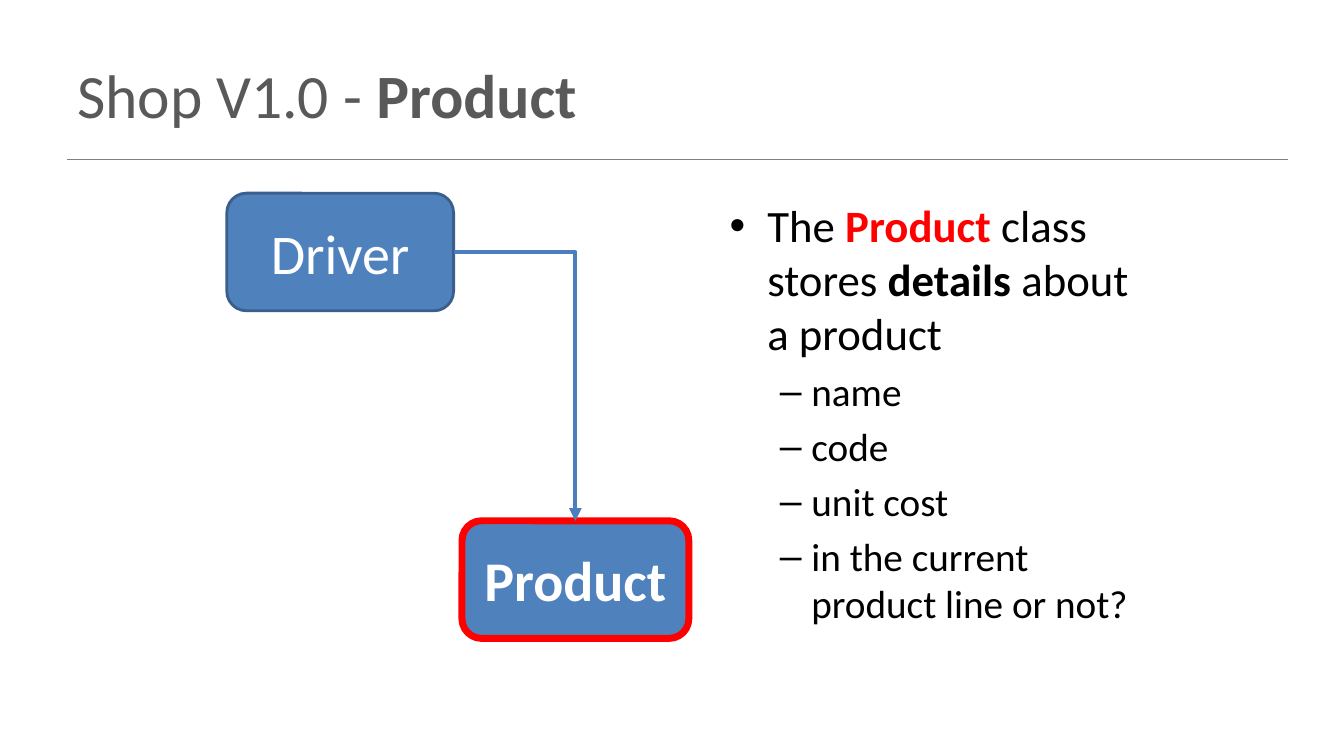
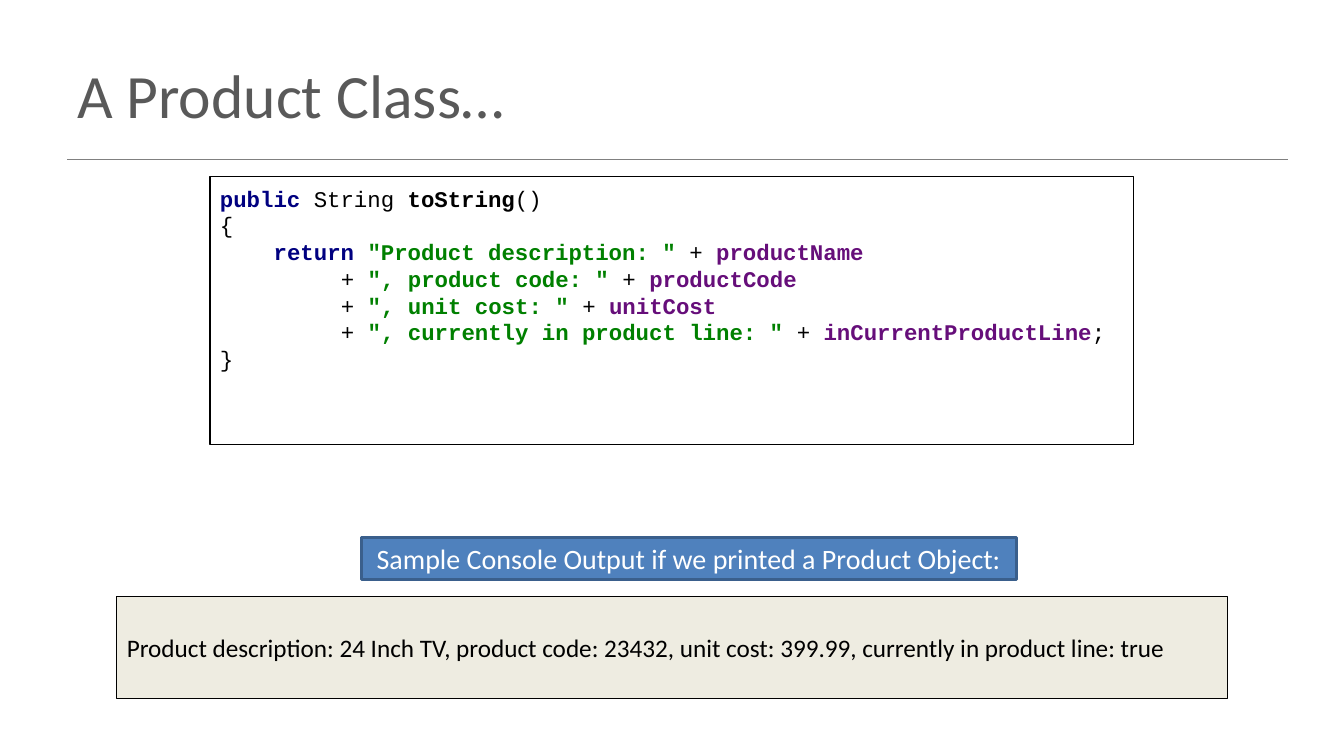
from dataclasses import dataclass

from lxml.etree import SubElement
from pptx import Presentation
from pptx.dml.color import RGBColor
from pptx.enum.shapes import MSO_CONNECTOR, MSO_SHAPE
from pptx.enum.text import MSO_ANCHOR, PP_ALIGN
from pptx.oxml.ns import qn
from pptx.util import Pt


@dataclass(frozen=True)
class Theme:
    sans: str = "Calibri"
    mono: str = "Courier New"
    title_size: float = 44
    box_size: float = 40
    body_size: float = 32
    item_size: float = 28
    label_size: float = 20
    output_size: float = 18
    code_size: float = 16
    title: str = "595959"
    rule: str = "808080"
    black: str = "000000"
    white: str = "FFFFFF"
    red: str = "FF0000"
    blue: str = "4F81BD"
    blue_edge: str = "3A5F8C"
    arrow: str = "4B7EBC"
    cream: str = "EEECE1"
    keyword: str = "000080"
    string: str = "008000"
    field: str = "660E7A"


theme = Theme()


def add_runs(para, size, *runs, font=theme.sans):
    """Append (text, colour, bold) runs to a paragraph."""
    for text, colour, bold in runs:
        span = para.add_run()
        span.text = text
        span.font.name = font
        span.font.size = Pt(size)
        span.font.bold = bold
        span.font.color.rgb = RGBColor.from_string(colour)


def add_box(page, kind, bounds, fill, edge, edge_width):
    box = page.shapes.add_shape(kind, *map(Pt, bounds))
    box.shadow.inherit = False
    box.fill.solid()
    box.fill.fore_color.rgb = RGBColor.from_string(fill)
    box.line.color.rgb = RGBColor.from_string(edge)
    box.line.width = Pt(edge_width)
    frame = box.text_frame
    frame.word_wrap = True
    frame.vertical_anchor = MSO_ANCHOR.MIDDLE
    return box


deck = Presentation()
deck.slide_width, deck.slide_height = Pt(960), Pt(540)

# Title and rule shared by both slides
titles = [
    [("Shop V1.0 - ", theme.title, False), ("Product", theme.title, True)],
    [("A Product Class…", theme.title, False)],
]
for title_runs in titles:
    page = deck.slides.add_slide(deck.slide_layouts[6])
    rule = page.shapes.add_connector(
        MSO_CONNECTOR.STRAIGHT, Pt(48), Pt(114), Pt(920), Pt(114))
    rule.line.color.rgb = RGBColor.from_string(theme.rule)
    rule.line.width = Pt(1)
    SubElement(rule._element.spPr, qn("a:effectLst"))
    title = page.shapes.add_textbox(Pt(48), Pt(22), Pt(864), Pt(90))
    title.text_frame.word_wrap = True
    title.text_frame.vertical_anchor = MSO_ANCHOR.MIDDLE
    add_runs(title.text_frame.paragraphs[0], theme.title_size, *title_runs)

class_page, code_page = deck.slides

# Slide 1: bullets
body = class_page.shapes.add_textbox(Pt(514), Pt(138), Pt(300), Pt(357))
body.text_frame.word_wrap = True
lead = [
    ("The ", theme.black, False), ("Product", theme.red, True),
    (" class stores ", theme.black, False), ("details", theme.black, True),
    (" about a product", theme.black, False),
]
details = ["name", "code", "unit cost", "in the current product line or not?"]
bullets = [("•", 27, 27, 0, theme.body_size, lead)] + [
    ("–", 58.5, 22.5, 5.6, theme.item_size, [(detail, theme.black, False)])
    for detail in details]
for index, (mark, left, hang, gap, size, runs) in enumerate(bullets):
    para = body.text_frame.add_paragraph() if index else body.text_frame.paragraphs[0]
    para.space_before = Pt(gap)
    properties = para._p.get_or_add_pPr()
    properties.set("marL", str(Pt(left)))
    properties.set("indent", str(-Pt(hang)))
    SubElement(properties, qn("a:buFont"), typeface="Arial")
    SubElement(properties, qn("a:buChar"), char=mark)
    add_runs(para, size, *runs)

# Slide 1: class diagram
class_boxes = []
for name, left, top, edge, edge_width, bold in [
    ("Driver", 162, 138, theme.blue_edge, 2, False),
    ("Product", 330, 372, theme.red, 5, True),
]:
    box = add_box(class_page, MSO_SHAPE.ROUNDED_RECTANGLE, (left, top, 162, 84),
                  theme.blue, edge, edge_width)
    para = box.text_frame.paragraphs[0]
    para.alignment = PP_ALIGN.CENTER
    add_runs(para, theme.box_size, (name, theme.white, bold))
    class_boxes.append(box)

driver, product = class_boxes
arrow = class_page.shapes.add_connector(
    MSO_CONNECTOR.ELBOW, Pt(324), Pt(180), Pt(411), Pt(372))
arrow.begin_connect(driver, 3)
arrow.end_connect(product, 0)
arrow._element.spPr.find(qn("a:prstGeom")).set("prst", "bentConnector2")
arrow.line.color.rgb = RGBColor.from_string(theme.arrow)
arrow.line.width = Pt(3)
SubElement(arrow.line._get_or_add_ln(), qn("a:tailEnd"), type="triangle")
SubElement(arrow._element.spPr, qn("a:effectLst"))

# Slide 2: code listing, each line as (indent in characters, runs)
plus = ("+ ", theme.black, False)
code_lines = [
    (0, [("public ", theme.keyword, True), ("String ", theme.black, False),
         ("toString", theme.black, True), ("()", theme.black, False)]),
    (0, [("{", theme.black, False)]),
    (4, [("return ", theme.keyword, True),
         ('"Product description: " ', theme.string, True), plus,
         ("productName", theme.field, True)]),
    (9, [plus, ('", product code: " ', theme.string, True), plus,
         ("productCode", theme.field, True)]),
    (9, [plus, ('", unit cost: " ', theme.string, True), plus,
         ("unitCost", theme.field, True)]),
    (9, [plus, ('", currently in product line: " ', theme.string, True), plus,
         ("inCurrentProductLine", theme.field, True), (";", theme.black, False)]),
    (0, [("}", theme.black, False)]),
]
character_width = 0.6 * theme.code_size
listing = add_box(code_page, MSO_SHAPE.RECTANGLE, (150, 126, 660, 191.5),
                  theme.white, theme.black, 0.75)
listing.text_frame.vertical_anchor = MSO_ANCHOR.TOP
listing.text_frame.margin_top = Pt(6)
for index, (indent, runs) in enumerate(code_lines):
    para = listing.text_frame.add_paragraph() if index else listing.text_frame.paragraphs[0]
    para.alignment = PP_ALIGN.LEFT
    para.line_spacing = Pt(19.1)
    para._p.get_or_add_pPr().set("marL", str(Pt(indent * character_width)))
    add_runs(para, theme.code_size, *runs, font=theme.mono)

# Slide 2: console output and its label
for text, bounds, fill, edge, edge_width, size, colour, alignment in [
    ("Product description: 24 Inch TV, product code: 23432, unit cost: 399.99, "
     "currently in product line: true", (83.5, 426, 793, 73),
     theme.cream, theme.black, 0.75, theme.output_size, theme.black, PP_ALIGN.LEFT),
    ("Sample Console Output if we printed a Product Object:", (258, 384, 468, 30),
     theme.blue, theme.blue_edge, 2, theme.label_size, theme.white, PP_ALIGN.CENTER),
]:
    box = add_box(code_page, MSO_SHAPE.RECTANGLE, bounds, fill, edge, edge_width)
    para = box.text_frame.paragraphs[0]
    para.alignment = alignment
    add_runs(para, size, (text, colour, False))

deck.save("out.pptx")
